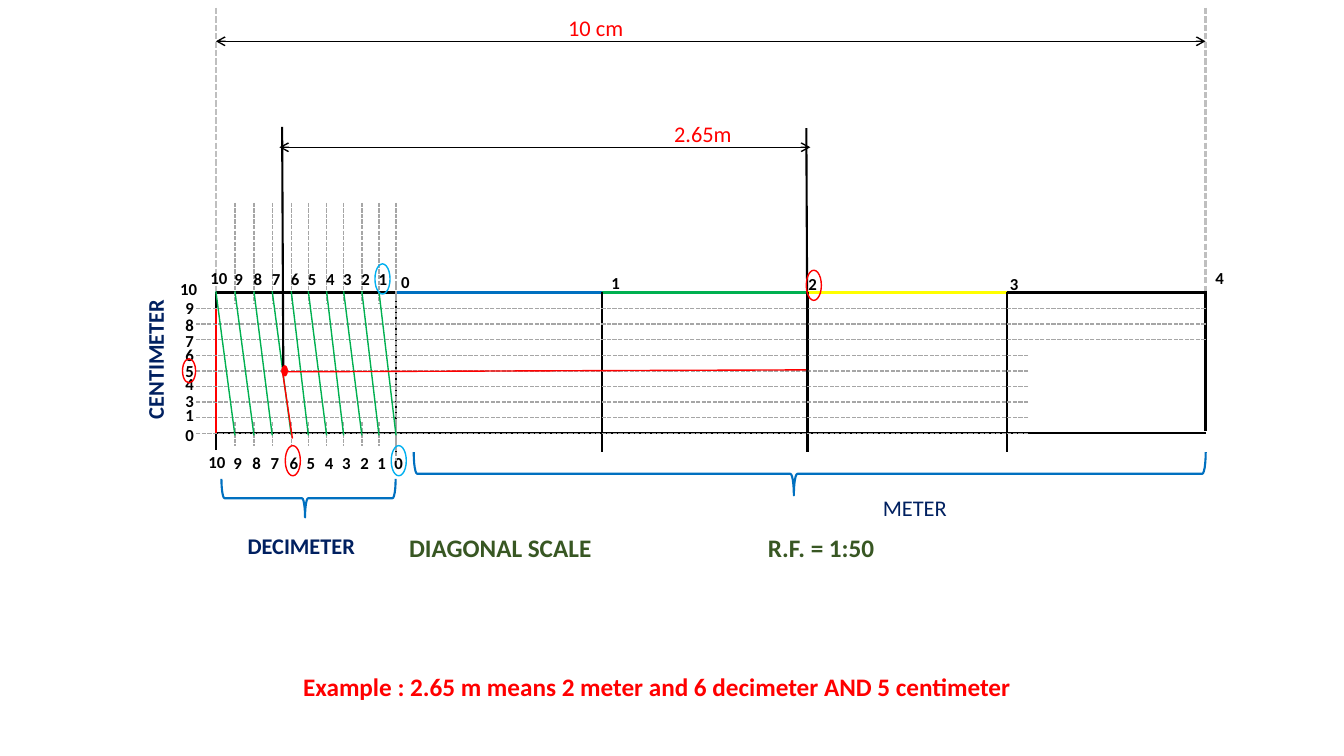
from itertools import pairwise

from lxml import etree
from pptx import Presentation
from pptx.dml.color import RGBColor
from pptx.enum.dml import MSO_LINE
from pptx.enum.shapes import MSO_CONNECTOR, MSO_SHAPE
from pptx.enum.text import MSO_AUTO_SIZE
from pptx.oxml.ns import qn
from pptx.util import Cm, Pt

STRAIGHT = MSO_CONNECTOR.STRAIGHT
SHORT_DASH = MSO_LINE.SQUARE_DOT
OVAL = MSO_SHAPE.OVAL
BRACE = MSO_SHAPE.RIGHT_BRACE
DOT = MSO_SHAPE.FLOWCHART_CONNECTOR
GROW = MSO_AUTO_SIZE.SHAPE_TO_FIT_TEXT

BLACK, RED, BLUE, GREEN, YELLOW = "000000", "FF0000", "0070C0", "00B050", "FFFF00"
SKY, NAVY, OLIVE, GREY, PALE_GREY = "00B0F0", "002060", "385723", "A6A6A6", "BFBFBF"

# Edges of the scale and its divisions, in centimetres
LEFT, RIGHT, TOP, BOTTOM = 5.44, 30.38, 7.37, 10.92
METER_X = [9.98, 15.16, 20.35, 25.37, RIGHT]
DECIMETER_X = [5.92, 6.4, 6.86, 7.34, 7.77, 8.23, 8.66, 9.12, 9.55, 9.98]

presentation = Presentation()
presentation.slide_width = Cm(33.87)
presentation.slide_height = Cm(19.05)
slide = presentation.slides.add_slide(presentation.slide_layouts[6])


def add_line(x1, y1, x2, y2, color=BLACK, width=1.5, dash=None, arrows=False):
    line = slide.shapes.add_connector(STRAIGHT, Cm(x1), Cm(y1), Cm(x2), Cm(y2))
    line.line.color.rgb = RGBColor.from_string(color)
    line.line.width = Pt(width)
    if dash:
        line.line.dash_style = dash
    properties = line._element.spPr
    if arrows:
        for end in ("a:headEnd", "a:tailEnd"):
            etree.SubElement(properties.find(qn("a:ln")), qn(end), type="arrow")
    etree.SubElement(properties, qn("a:effectLst"))


def add_label(text, x, y, width=0.74, height=0.76, size=12, color=BLACK,
              bold=True, wrap=True, rotation=0):
    label = slide.shapes.add_textbox(Cm(x), Cm(y), Cm(width), Cm(height))
    label.rotation = rotation
    label.text_frame.text = text
    label.text_frame.word_wrap = wrap
    label.text_frame.auto_size = GROW
    font = label.text_frame.paragraphs[0].runs[0].font
    font.name = "Calibri"
    font.size = Pt(size)
    font.bold = bold
    font.color.rgb = RGBColor.from_string(color)


# Frame and meter divisions
add_line(LEFT, BOTTOM, RIGHT, BOTTOM)
add_line(LEFT, TOP, LEFT, 11.35)
stretch_colors = [RED, BLUE, GREEN, YELLOW, BLACK]
for (start, end), color in zip(pairwise([LEFT] + METER_X), stretch_colors):
    add_line(start, TOP, end, TOP, color)
for x in METER_X[:-1]:
    add_line(x, TOP, x, 11.38)
add_line(RIGHT, 7.29, RIGHT, 10.87)

# Overall length
for x in (LEFT, RIGHT):
    add_line(x, 0.2, x, 7.34, PALE_GREY, dash=SHORT_DASH)
add_line(LEFT, 1.04, RIGHT, 1.04, width=1, arrows=True)
add_label("10 cm", 14.07, 0.23, 2.06, 0.94, 16, RED, bold=False, wrap=False)

# Decimeter divisions with their numbers above and below
for start, end in pairwise([LEFT] + DECIMETER_X):
    add_line(start, TOP, end, TOP)
for index, x in enumerate(DECIMETER_X):
    number = str(9 - index)
    add_line(x, 5.11, x, 7.65, GREY, 1, SHORT_DASH)
    add_line(x, 10.64, x, 11.25, GREY, 1, SHORT_DASH)
    add_label(number, x - 0.29, 11.28)
    if number != "0":
        add_label(number, x - 0.26, 6.65)
add_line(METER_X[0], 7.19, METER_X[0], 11.61, GREY, 1, SHORT_DASH)
add_label("10", 5.05, 6.63, 1.09)
add_label("10", 5, 11.25, 1.09)

# Meter numbers
meter_label_places = [(9.86, 6.73), (15.16, 6.76), (20.12, 6.78), (25.2, 6.78), (30.38, 6.63)]
for number, (x, y) in enumerate(meter_label_places):
    add_label(str(number), x, y)

# Centimeter divisions and their numbers
row_height = (BOTTOM - 7.77) / 8
for row in range(9):
    y = BOTTOM - row * row_height
    add_line(25.91 if row < 6 else RIGHT, y, 4.95, y, GREY, 1, SHORT_DASH)
    if row < 8:
        add_line(LEFT, y, LEFT, y - row_height, RED)
centimeter_labels = {"0": 10.57, "1": 10.08, "3": 9.73, "4": 9.3, "5": 8.97,
                     "6": 8.56, "7": 8.2, "8": 7.8, "9": 7.37}
for number, y in centimeter_labels.items():
    add_label(number, 4.42, y)
add_label("10", 4.29, 6.91, 1.09)

# Diagonals
for start, end in pairwise([LEFT] + DECIMETER_X):
    add_line(start, 7.34, end, 10.97, GREEN, 1)

# Braces and captions
for box in [(19.86, 1.96, 1.09, 19.96), (7.29, 10.36, 0.97, 4.39)]:
    brace = slide.shapes.add_shape(BRACE, *map(Cm, box))
    brace.rotation = 90
    brace.adjustments[0] = 0.08
    brace.adjustments[1] = 0.52
    brace.shadow.inherit = False
    brace.fill.background()
    brace.line.color.rgb = RGBColor.from_string(BLUE)
    brace.line.width = Pt(1.5)
add_label("METER", 22, 12.32, 3.56, 0.94, 16, NAVY, bold=False)
add_label("DECIMETER", 5.99, 13.28, 3.56, 0.94, 16, NAVY)
add_label("CENTIMETER", 2.13, 8.56, 3.56, 0.94, 16, NAVY, rotation=270)
add_label("DIAGONAL SCALE", 10.06, 13.28, 9.07, 1.02, 18, OLIVE)
add_label("R.F. = 1:50", 19.1, 13.28, 4.29, 1.02, 18, OLIVE)
add_label("Example : 2.65 m means 2 meter and 6 decimeter AND 5 centimeter",
          7.39, 16.79, 18.44, 1.02, 18, RED)

# Reading of 2.65 m
add_line(7.37, 11.05, 7.11, 9.3, RED, 1)
add_line(7.09, 9.37, 20.32, 9.32, RED, 1)
add_line(7.11, 3.2, 7.14, 9.37)
add_line(20.32, 3.23, 20.35, 9.4)
add_line(7.04, 3.71, 20.42, 3.71, width=1, arrows=True)
add_label("2.65m", 16.74, 2.9, 1.98, 0.94, 16, RED, bold=False, wrap=False)

markers = [
    (OVAL, SKY, 9.45, 6.65, 0.38, 0.76),
    (OVAL, SKY, 9.86, 11.23, 0.38, 0.76),
    (OVAL, RED, 20.32, 6.81, 0.38, 0.76),
    (OVAL, RED, 7.19, 11.23, 0.38, 0.76),
    (OVAL, RED, 4.6, 9.04, 0.33, 0.61),
    (DOT, RED, 7.11, 9.22, 0.13, 0.25),
]
for kind, color, *box in markers:
    marker = slide.shapes.add_shape(kind, *map(Cm, box))
    marker.shadow.inherit = False
    marker.line.color.rgb = RGBColor.from_string(color)
    marker.line.width = Pt(1)
    if kind == DOT:
        marker.fill.solid()
        marker.fill.fore_color.rgb = RGBColor.from_string(color)
    else:
        marker.fill.background()

presentation.save("out.pptx")
